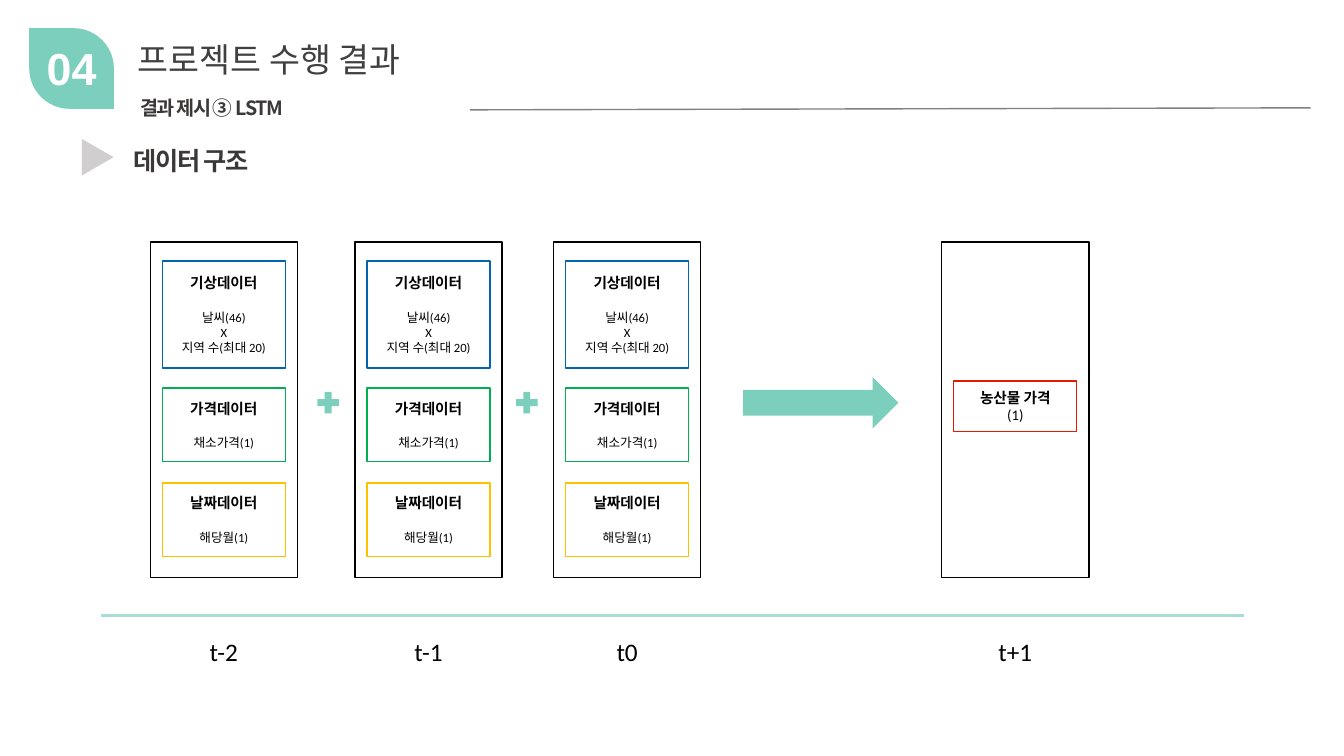
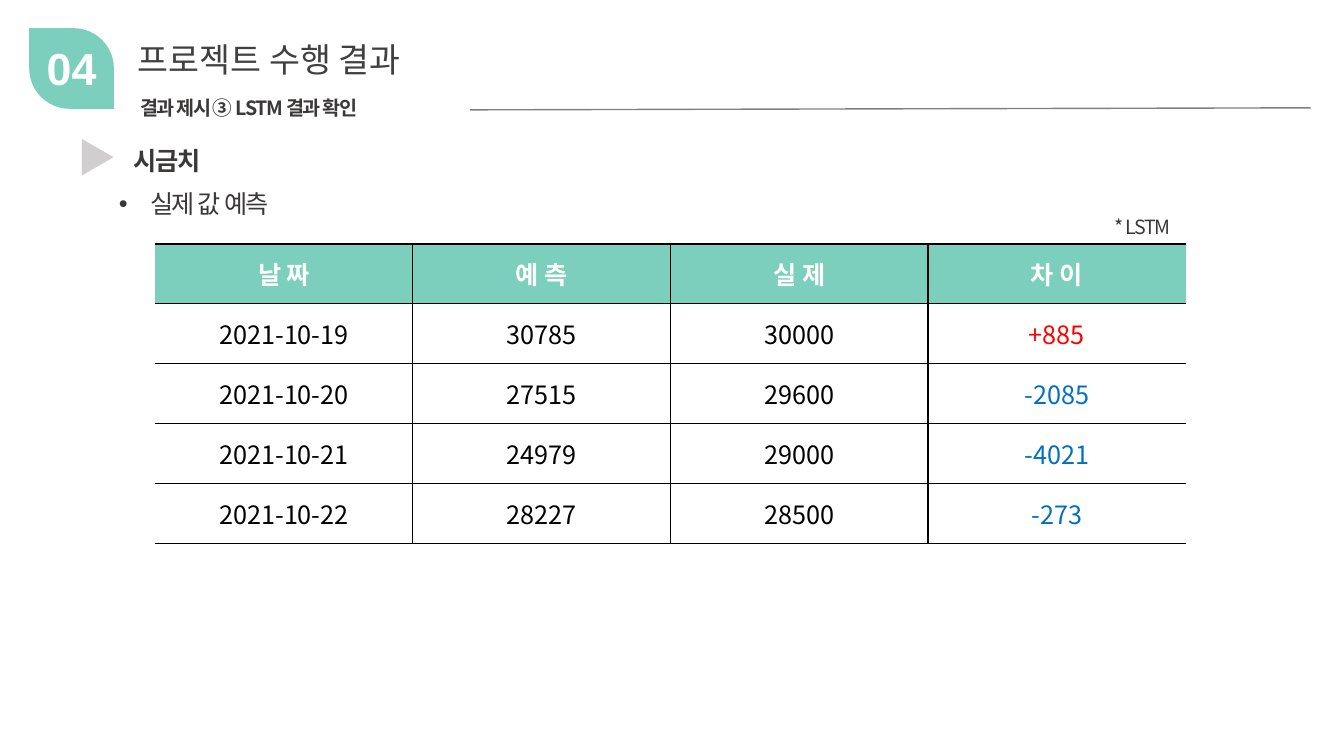
from lxml.etree import SubElement
from pptx import Presentation
from pptx.dml.color import RGBColor
from pptx.enum.shapes import MSO_CONNECTOR, MSO_SHAPE as SHAPE
from pptx.enum.text import MSO_ANCHOR as ANCHOR, PP_ALIGN as ALIGN
from pptx.oxml.ns import qn
from pptx.util import Emu, Pt

PX = 9144
MINT, PALE_MINT, WHITE, BLACK = "7CCFBC", "A8DFD2", "FFFFFF", "000000"
INK, TITLE_GRAY, RULE_GRAY, MARKER_GRAY = "3B3838", "404040", "808080", "D0CECE"
RED, BLUE = "FF0000", "0070C0"
NOTO, CALIBRI, ARIAL = "Noto Sans CJK KR", "Calibri", "Arial"

INPUT_CARDS = [
    (19, 106, "0165B2", ["기상데이터", "날씨(46)", "X", "지역 수(최대 20)"]),
    (145, 73, "00B050", ["가격데이터", "채소가격(1)"]),
    (239, 73, "FFC000", ["날짜데이터", "해당월(1)"]),
]
OUTPUT_CARDS = [(138, 50, "E41A00", ["농산물 가격", "(1)"])]
PRICES = [
    ("날 짜", "예 측", "실 제", "차 이"),
    ("2021-10-19", "30785", "30000", "+885"),
    ("2021-10-20", "27515", "29600", "-2085"),
    ("2021-10-21", "24979", "29000", "-4021"),
    ("2021-10-22", "28227", "28500", "-273"),
]


def px(*lengths):
    return [Emu(round(length * PX)) for length in lengths]


def rgb(color):
    return RGBColor.from_string(color)


def style(paragraph, size, color=BLACK, font=NOTO, bold=False, align=ALIGN.LEFT, spacing=0):
    paragraph.alignment = align
    for run in paragraph.runs:
        run.font.size = Pt(size)
        run.font.bold = bold
        run.font.name = font
        run.font.color.rgb = rgb(color)
        properties = run._r.get_or_add_rPr()
        SubElement(properties, qn("a:ea")).set("typeface", NOTO)
        if spacing:
            properties.set("spc", str(spacing * 100))


def add_text(slide, box, text, size, **look):
    frame = slide.shapes.add_textbox(*px(*box)).text_frame
    frame.word_wrap = True
    frame.text = text
    style(frame.paragraphs[0], size, **look)
    return frame.paragraphs[0]


def add_figure(slide, kind, box, fill=None, outline=None):
    figure = slide.shapes.add_shape(kind, *px(*box))
    figure.shadow.inherit = False
    if fill:
        figure.fill.solid()
        figure.fill.fore_color.rgb = rgb(fill)
    else:
        figure.fill.background()
    if outline:
        figure.line.color.rgb = rgb(outline)
        figure.line.width = Pt(1)
    else:
        figure.line.fill.background()
    return figure


def add_rule(slide, start, end, color, width):
    rule = slide.shapes.add_connector(MSO_CONNECTOR.STRAIGHT, *px(*start, *end))
    rule.line.color.rgb = rgb(color)
    rule.line.width = Pt(width)
    SubElement(rule._element.spPr, qn("a:effectLst"))


def add_header(slide, subtitle, topic):
    add_text(slide, (123, 139, 811, 40), topic, 18, color=INK, bold=True, spacing=-1)
    add_text(slide, (129, 90, 305, 34), subtitle, 14, color=INK, bold=True, spacing=-1)
    add_text(slide, (67, 127, 55, 57), "▶", 28, color=MARKER_GRAY, bold=True)
    add_text(slide, (127, 34, 323, 50), "프로젝트 수행 결과", 24, color=TITLE_GRAY)
    add_rule(slide, (466, 109), (1300, 107), RULE_GRAY, 1)
    badge = add_figure(slide, SHAPE.ROUND_2_DIAG_RECTANGLE, (29, 28, 84, 80), fill=MINT)
    badge.adjustments[0], badge.adjustments[1] = 0, 0.5
    add_text(slide, (24, 36, 94, 64), "04", 32, color=WHITE, font=ARIAL, bold=True,
             align=ALIGN.CENTER)


def add_card(slide, box, outline, lines, detail_size, gap):
    card = add_figure(slide, SHAPE.RECTANGLE, box, outline=outline)
    frame = card.text_frame
    frame.word_wrap = True
    frame.vertical_anchor = ANCHOR.MIDDLE
    frame.text = "\n".join(lines)
    heading, *details = frame.paragraphs
    style(heading, 10.5, font=CALIBRI, bold=True, align=ALIGN.CENTER)
    for detail in details:
        style(detail, detail_size, font=CALIBRI, align=ALIGN.CENTER)
    details[0].space_before = Pt(gap)


def add_time_step(slide, box, label, cards, detail_size=9, gap=13):
    left, top, width, height = box
    add_figure(slide, SHAPE.RECTANGLE, box, outline=BLACK)
    for offset, card_height, outline, lines in cards:
        card_box = (left + 12, top + offset, width - 24, card_height)
        add_card(slide, card_box, outline, lines, detail_size, gap)
    add_text(slide, (left + 14, top + height + 53, width - 28, 40), label, 18,
             font=CALIBRI, align=ALIGN.CENTER)


def add_data_structure(slide):
    top, width, height = 240, 146, 333
    steps = [(149, "t-2"), (352, "t-1"), (549, "t0")]
    for left, label in steps:
        add_time_step(slide, (left, top, width, height), label, INPUT_CARDS)
    for left, _ in steps[1:]:
        add_figure(slide, SHAPE.MATH_PLUS, (left - 41, top + 145, 29, 29), fill=MINT)
    add_figure(slide, SHAPE.RIGHT_ARROW, (737, top + 134, 154, 51), fill=MINT)
    add_time_step(slide, (934, top, width, height), "t+1", OUTPUT_CARDS, 10.5, 0)
    add_rule(slide, (100, 611), (1234, 611), PALE_MINT, 2.25)


def set_borders(cell, drawn_sides):
    properties = cell._tc.get_or_add_tcPr()
    for index, side in enumerate(("lnL", "lnR", "lnT", "lnB")):
        border = properties.makeelement(qn("a:" + side), {"w": str(Pt(1))})
        properties.insert(index, border)
        if side in drawn_sides:
            fill = SubElement(border, qn("a:solidFill"))
            SubElement(fill, qn("a:srgbClr")).set("val", BLACK)
        else:
            SubElement(border, qn("a:noFill"))


def text_color(row, column, value):
    if row == 0:
        return WHITE
    if column == len(PRICES[0]) - 1:
        return RED if value.startswith("+") else BLUE
    return BLACK


def add_price_table(slide, box):
    columns = len(PRICES[0])
    table = slide.shapes.add_table(len(PRICES), columns, *px(*box)).table
    for row, values in enumerate(PRICES):
        for column, value in enumerate(values):
            cell = table.cell(row, column)
            cell.text_frame.text = value
            cell.vertical_anchor = ANCHOR.MIDDLE
            cell.fill.solid()
            cell.fill.fore_color.rgb = rgb(MINT if row == 0 else WHITE)
            style(cell.text_frame.paragraphs[0], 18, color=text_color(row, column, value),
                  bold=row == 0, align=ALIGN.CENTER)
            sides = ["lnT", "lnB"]
            if column > 0:
                sides.append("lnL")
            if column < columns - 1:
                sides.append("lnR")
            set_borders(cell, sides)


def add_bullet(paragraph, indent):
    properties = paragraph._p.get_or_add_pPr()
    properties.set("marL", str(indent))
    properties.set("indent", str(-indent))
    SubElement(properties, qn("a:buFont")).set("typeface", ARIAL)
    SubElement(properties, qn("a:buChar")).set("char", "•")


def add_prediction(slide):
    claim = add_text(slide, (108, 182, 1165, 40), "실제 값 예측", 18, color=INK, spacing=-1)
    add_bullet(claim, px(31)[0])
    add_price_table(slide, (154, 242, 1022, 297))
    add_text(slide, (1096, 208, 118, 34), "* LSTM", 14, color=INK, spacing=-1)


def main():
    deck = Presentation()
    deck.slide_width, deck.slide_height = px(1333, 750)
    pages = [
        ("결과 제시 ③ LSTM", "데이터 구조", add_data_structure),
        ("결과 제시 ③ LSTM 결과 확인", "시금치", add_prediction),
    ]
    for subtitle, topic, add_content in pages:
        slide = deck.slides.add_slide(deck.slide_layouts[6])
        add_header(slide, subtitle, topic)
        add_content(slide)
    deck.save("out.pptx")


if __name__ == "__main__":
    main()
